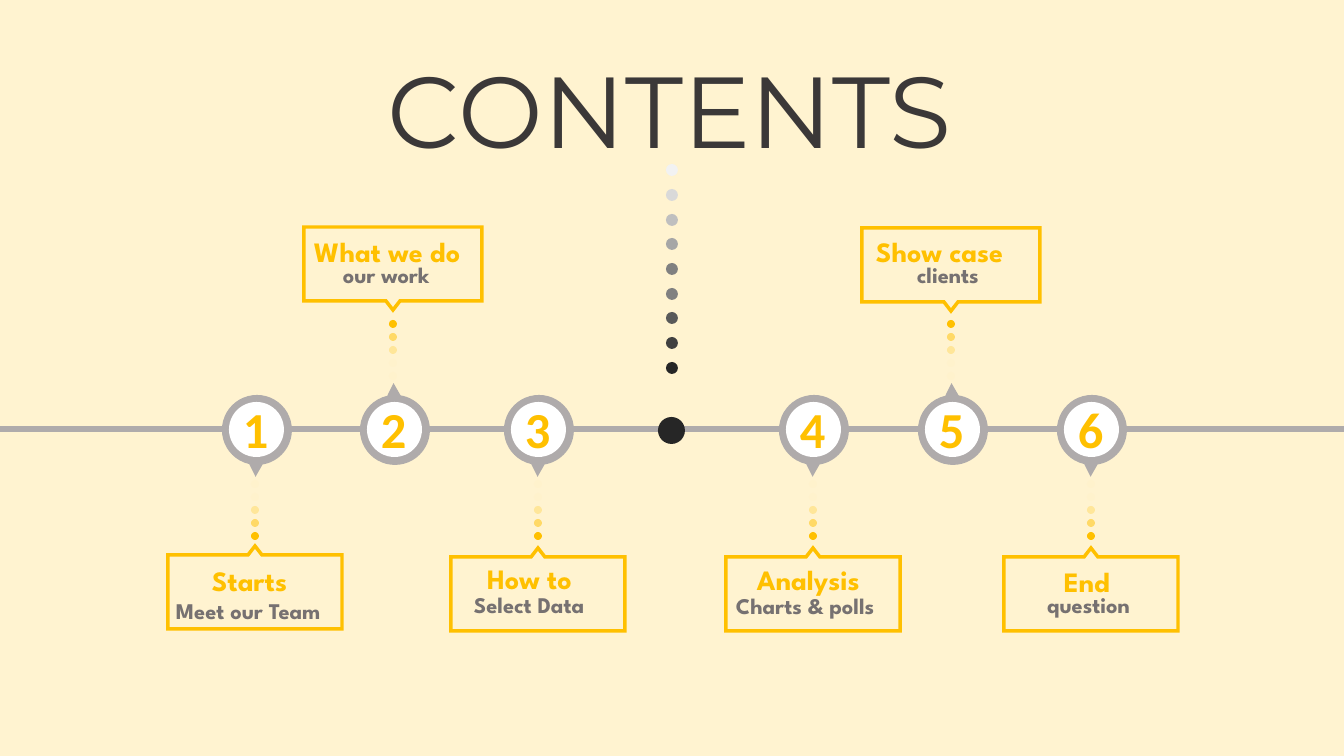
from pptx import Presentation
from pptx.dml.color import RGBColor
from pptx.enum.shapes import MSO_CONNECTOR as Connector, MSO_SHAPE as Shape
from pptx.enum.text import MSO_ANCHOR as Anchor, MSO_AUTO_SIZE as AutoSize, PP_ALIGN as Align
from pptx.oxml.ns import qn
from pptx.util import Emu, Pt
from lxml.etree import SubElement

PX = 914400 / 100.8
WIDTH, HEIGHT = 1344, 756
COLORS = {
    "page": "FFD966", "title": "3B3838", "axis": "AFABAB", "white": "FFFFFF",
    "accent": "FFC000", "body": "767171", "hub": "262626",
}
TRAIL = ["FFC000", "FFD966", "FFE699", "FFF2CC", "FFF2CC"]
FADE = ["F2F2F2", "D9D9D9", "BFBFBF", "A6A6A6", "808080",
        "808080", "595959", "404040", "262626"]
AXIS_Y = 429

# circle left, label on top, label (left, top), heading and subline (text, left, top, width)
STOPS = [
    (222, False, (168, 546), ("Starts", 207, 559, 113), ("Meet our Team", 171, 592, 199)),
    (360, True, (304, 227), ("What we do", 309, 230, 168), ("our work", 338, 256, 123)),
    (504, False, (451, 548), ("How to", 482, 557, 113), ("Select Data", 469, 586, 162)),
    (779, False, (726, 548), ("Analysis", 752, 558, 132), ("Charts & polls", 731, 587, 176)),
    (918, True, (862, 228), ("Show case", 871, 230, 159), ("clients", 912, 256, 123)),
    (1057, False, (1004, 548), ("End", 1059, 560, 72), ("question", 1042, 586, 162)),
]


def px(length):
    return Emu(round(length * PX))


def rgb(color):
    return RGBColor.from_string(COLORS.get(color, color))


class TimelinePage:
    def __init__(self, deck):
        self.page = deck.slides.add_slide(deck.slide_layouts[5])
        self.shapes = self.page.shapes

    def background(self, color, alpha):
        fill = self.page.background.fill
        fill.solid()
        fill.fore_color.rgb = rgb(color)
        tint = next(self.page.element.iter(qn("a:srgbClr")))
        SubElement(tint, qn("a:alpha")).set("val", str(alpha * 1000))

    def set_text(self, box, text, font, size, color, bold, align=Align.LEFT):
        frame = box.text_frame
        frame.word_wrap = True
        frame.auto_size = AutoSize.NONE
        frame.vertical_anchor = Anchor.TOP
        frame.margin_left = frame.margin_right = px(5)
        frame.margin_top = frame.margin_bottom = px(5)
        para = frame.paragraphs[0]
        para.alignment = align
        span = para.add_run()
        span.text = text
        span.font.name = font
        span.font.size = Pt(size)
        span.font.bold = bold
        span.font.color.rgb = rgb(color)

    def title(self, text, left, top, width, height):
        box = self.shapes.title
        box.left, box.top, box.width, box.height = map(px, (left, top, width, height))
        self.set_text(box, text, "Montserrat", 72, "title", False, Align.CENTER)

    def text(self, text, left, top, width, height, font, size, color):
        box = self.shapes.add_textbox(px(left), px(top), px(width), px(height))
        self.set_text(box, text, font, size, color, True)

    def disc(self, left, top, size, color, kind=Shape.OVAL):
        disc = self.shapes.add_shape(kind, px(left), px(top), px(size), px(size))
        disc.shadow.inherit = False
        disc.fill.solid()
        disc.fill.fore_color.rgb = rgb(color)
        disc.line.fill.background()
        return disc

    def axis(self, y):
        axis = self.shapes.add_connector(Connector.STRAIGHT, px(0), px(y), px(WIDTH), px(y))
        axis.line.color.rgb = rgb("axis")
        axis.line.width = Pt(4)
        SubElement(axis.element.spPr, qn("a:effectLst"))

    def marker(self, number, left, points_up):
        tip = self.disc(left, 395, 70, "axis", Shape.OVAL_CALLOUT)
        tip.adjustments[0] = -0.02
        tip.adjustments[1] = -0.67 if points_up else 0.67
        self.disc(left + 7, 402, 55, "white")
        self.text(str(number), left + 16, 393, 37, 60, "Calibri", 36, "accent")

    def label(self, left, top, on_top):
        """Draws the framed label and returns the x of its notch."""
        width, height, notch = (178 if on_top else 174), 83, 9
        middle, right = left + width // 2, left + width
        if on_top:
            far, near, peak = top, top + height - notch, top + height
        else:
            far, near, peak = top + height, top + notch, top
        outline = self.shapes.build_freeform(left, far, scale=PX)
        outline.add_line_segments([
            (right, far), (right, near), (middle + 7, near),
            (middle, peak), (middle - 7, near), (left, near),
        ], close=True)
        frame = outline.convert_to_shape()
        frame.shadow.inherit = False
        frame.fill.background()
        frame.line.color.rgb = rgb("accent")
        frame.line.width = Pt(2.5)
        SubElement(frame.element.spPr.find(qn("a:ln")), qn("a:miter")).set("lim", "800000")
        return middle

    def trail(self, middle, on_top):
        start, step = (320, 13) if on_top else (532, -13)
        for index, color in reversed(list(enumerate(TRAIL))):
            self.disc(middle - 4, start + index * step, 8, color)

    def stop(self, number, left, on_top, corner, heading, subline):
        self.marker(number, left, on_top)
        self.trail(self.label(*corner, on_top), on_top)
        self.text(*heading, 42, "League Spartan", 20, "accent")
        self.text(*subline, 35, "League Spartan", 16, "body")


def main():
    deck = Presentation()
    deck.slide_width, deck.slide_height = px(WIDTH), px(HEIGHT)
    page = TimelinePage(deck)
    page.background("page", 30)

    # Title and the fading dots that lead down to the hub
    page.title("CONTENTS", 353, 43, 633, 151)
    page.axis(AXIS_Y)
    for index, color in enumerate(FADE):
        page.disc(666, round(164 + 24.75 * index), 12, color)
    page.disc(658, 417, 27, "hub")

    # Numbered stops with their labels
    for number, stop in enumerate(STOPS, start=1):
        page.stop(number, *stop)

    deck.save("out.pptx")


if __name__ == "__main__":
    main()
